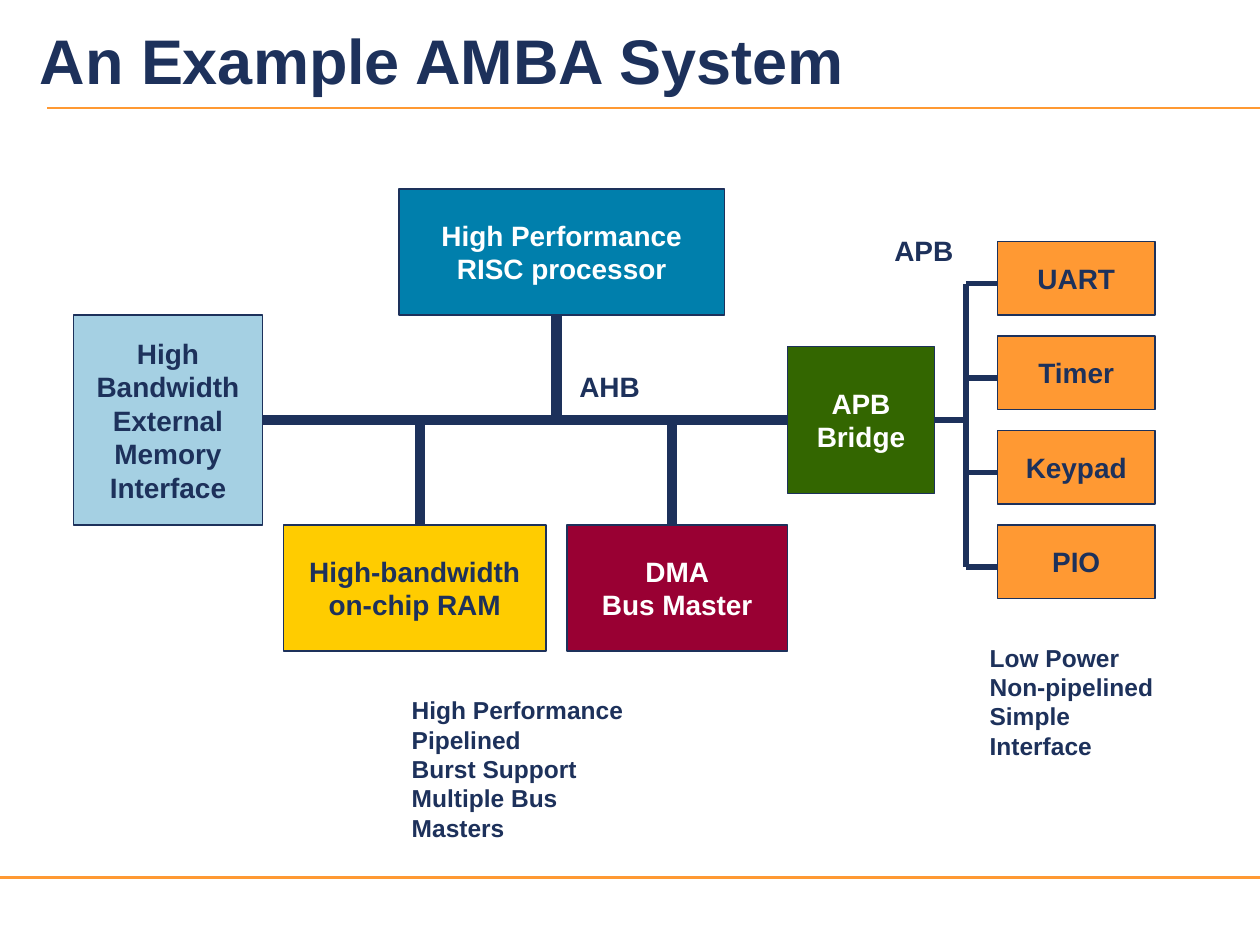
from dataclasses import dataclass

from pptx import Presentation
from pptx import util as u
from pptx.dml.color import RGBColor
from pptx.enum import shapes, text
from pptx.oxml.ns import qn
from lxml import etree


@dataclass(frozen=True)
class Theme:
    font: str = "Arial"
    navy: str = "1D315B"
    white: str = "FFFFFF"
    orange: str = "FF9933"
    blue: str = "007FAC"
    yellow: str = "FFCC00"
    pale_blue: str = "A5D0E3"
    crimson: str = "990033"
    green: str = "336600"
    title_size: int = 36
    block_size: int = 16
    note_size: int = 14


@dataclass(frozen=True)
class Block:
    label: str
    x: float
    y: float
    w: float
    h: float
    fill: str
    color: str


@dataclass(frozen=True)
class Label:
    label: str
    x: float
    y: float
    w: float
    h: float
    size: int
    wrap: bool = False
    anchor: text.MSO_ANCHOR = text.MSO_ANCHOR.TOP


@dataclass(frozen=True)
class Wire:
    x1: float
    y1: float
    x2: float
    y2: float
    width: float
    color: str


THEME = Theme()
CELL = 2.54 / 12
BUS_Y = 40
SPINE_X = 92
AHB_WIDTH = 6
APB_WIDTH = 3


def grid(n: float) -> u.Length:
    return u.Cm(n * CELL)


def style_text(tf, label: str, size: int, color: str, align) -> None:
    tf.text = label
    for p in tf.paragraphs:
        p.alignment = align
        for r in p.runs:
            r.font.name = THEME.font
            r.font.size = u.Pt(size)
            r.font.bold = True
            r.font.color.rgb = RGBColor.from_string(color)


def add_block(s, b: Block):
    sp = s.shapes.add_shape(shapes.MSO_SHAPE.RECTANGLE,
                            grid(b.x), grid(b.y), grid(b.w), grid(b.h))
    sp.shadow.inherit = False
    sp.fill.solid()
    sp.fill.fore_color.rgb = RGBColor.from_string(b.fill)
    sp.line.color.rgb = RGBColor.from_string(THEME.navy)
    sp.line.width = u.Pt(1)
    tf = sp.text_frame
    tf.word_wrap = False
    tf.vertical_anchor = text.MSO_ANCHOR.MIDDLE
    style_text(tf, b.label, THEME.block_size, b.color, text.PP_ALIGN.CENTER)
    return sp


def add_label(s, item: Label) -> None:
    sp = s.shapes.add_textbox(u.Cm(item.x), u.Cm(item.y), u.Cm(item.w), u.Cm(item.h))
    tf = sp.text_frame
    tf.word_wrap = item.wrap
    tf.vertical_anchor = item.anchor
    style_text(tf, item.label, item.size, THEME.navy, text.PP_ALIGN.LEFT)


def add_wire(s, w: Wire):
    line = s.shapes.add_connector(shapes.MSO_CONNECTOR.STRAIGHT,
                                  grid(w.x1), grid(w.y1), grid(w.x2), grid(w.y2))
    line.line.color.rgb = RGBColor.from_string(w.color)
    line.line.width = u.Pt(w.width)
    etree.SubElement(line._element.spPr, qn("a:effectLst"))
    return line


def main() -> None:
    t = THEME
    prs = Presentation()
    prs.slide_width, prs.slide_height = u.Cm(25.4), u.Cm(19.05)
    s = prs.slides.add_slide(prs.slide_layouts[6])

    add_wire(s, Wire(4.5, 10.3, 120, 10.3, 1, t.orange))
    add_wire(s, Wire(0, 83.6, 120, 83.6, 1.5, t.orange))
    add_label(s, Label("An Example AMBA System", 0.55, 0.03, 24.85, 2.34,
                       t.title_size, True, text.MSO_ANCHOR.MIDDLE))

    add_block(s, Block("High Performance\nRISC processor", 38, 18, 31, 12, t.blue, t.white))
    add_block(s, Block("High-bandwidth\non-chip RAM", 27, 50, 25, 12, t.yellow, t.navy))
    memory = add_block(s, Block("High\nBandwidth\nExternal\nMemory\nInterface",
                                7, 30, 18, 20, t.pale_blue, t.navy))
    add_block(s, Block("DMA\nBus Master", 54, 50, 21, 12, t.crimson, t.white))
    bridge = add_block(s, Block("APB\nBridge", 75, 33, 14, 14, t.green, t.white))

    ahb = add_wire(s, Wire(25, BUS_Y, 75, BUS_Y, AHB_WIDTH, t.navy))
    ahb.begin_connect(memory, 3)
    ahb.end_connect(bridge, 1)
    for x, y in ((40, 50), (64, 50), (53, 30)):
        add_wire(s, Wire(x, y, x, BUS_Y, AHB_WIDTH, t.navy))

    add_wire(s, Wire(SPINE_X, 27, SPINE_X, 54, APB_WIDTH, t.navy))
    apb = add_wire(s, Wire(89, BUS_Y, SPINE_X, BUS_Y, APB_WIDTH, t.navy))
    apb.begin_connect(bridge, 3)
    for i, name in enumerate(("UART", "Timer", "Keypad", "PIO")):
        y = 23 + 9 * i
        add_block(s, Block(name, 95, y, 15, 7, t.orange, t.navy))
        add_wire(s, Wire(SPINE_X, y + 4, 95, y + 4, APB_WIDTH, t.navy))

    for item in (
        Label("AHB", 11.43, 7.32, 1.73, 0.94, t.block_size),
        Label("APB", 17.78, 4.59, 1.7, 0.94, t.block_size),
        Label("High Performance\nPipelined\nBurst Support\nMultiple Bus Masters",
              8.05, 13.89, 5.3, 2.62, t.note_size, True),
        Label("Low Power\nNon-pipelined\nSimple Interface",
              19.7, 12.83, 4.2, 2.03, t.note_size, True),
    ):
        add_label(s, item)

    prs.save("out.pptx")


if __name__ == "__main__":
    main()
